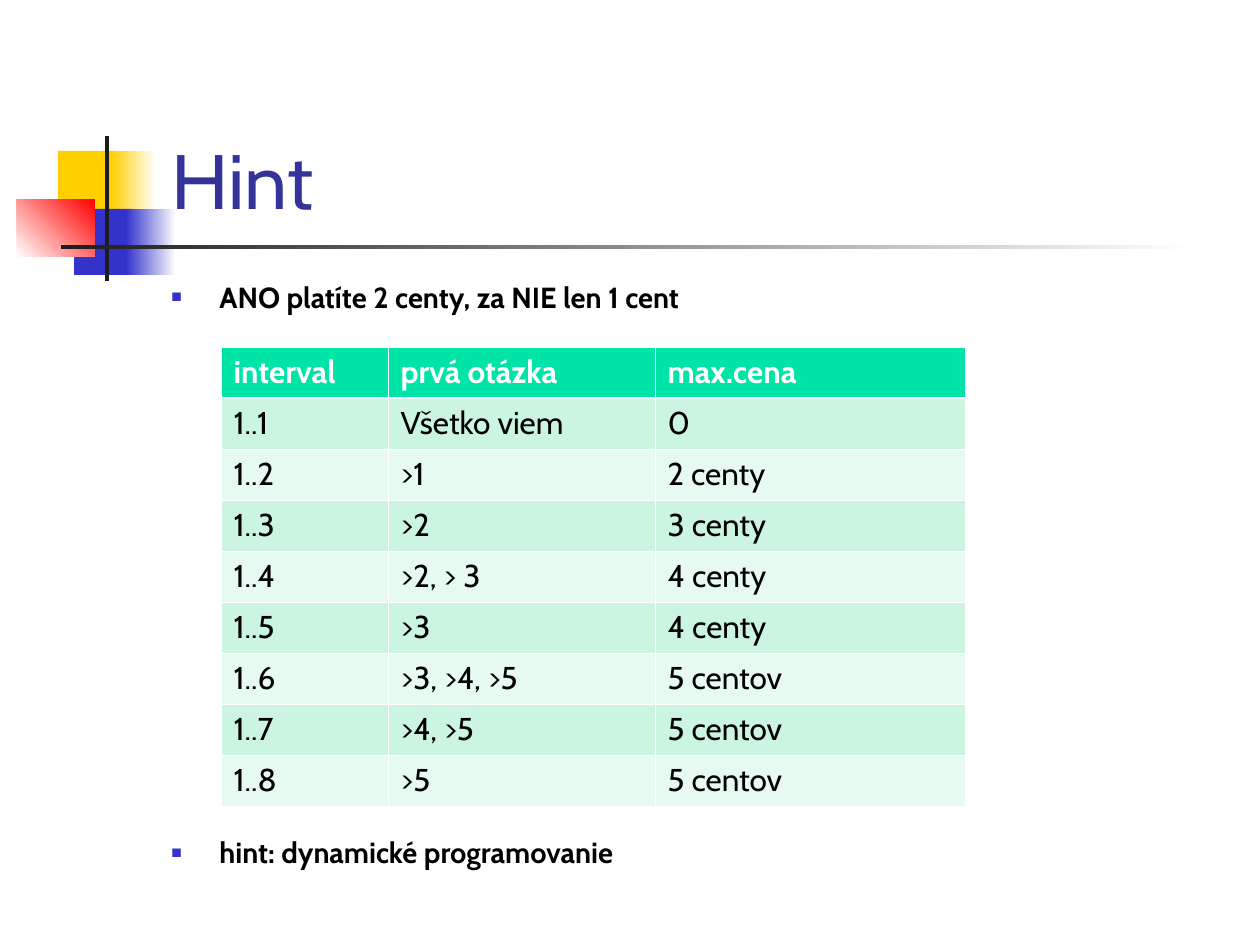
from lxml import etree
from pptx import Presentation
from pptx.dml.color import RGBColor
from pptx.enum.shapes import MSO_SHAPE
from pptx.enum.text import MSO_ANCHOR, MSO_AUTO_SIZE, PP_ALIGN
from pptx.oxml.ns import qn
from pptx.util import Pt

RECT = MSO_SHAPE.RECTANGLE
LEFT = PP_ALIGN.LEFT
TOP, BOTTOM = MSO_ANCHOR.TOP, MSO_ANCHOR.BOTTOM
NO_FIT = MSO_AUTO_SIZE.NONE

YELLOW = RGBColor(0xFF, 0xCF, 0x01)
BLUE = RGBColor(0x33, 0x33, 0xCC)
RED = RGBColor(0xFF, 0x00, 0x00)
DARK = RGBColor(0x1C, 0x1C, 0x1C)
WHITE = RGBColor(0xFF, 0xFF, 0xFF)
BLACK = RGBColor(0x00, 0x00, 0x00)
INDIGO = RGBColor(0x33, 0x33, 0x99)
GREEN = RGBColor(0x00, 0xE4, 0xA8)
MINT = RGBColor(0xCB, 0xF5, 0xE1)
PALE = RGBColor(0xE7, 0xFA, 0xF1)

# Content
TITLE = "Hint"
BULLETS = [  # text, space before in points
    ("ANO platíte 2 centy, za NIE len 1 cent", 0),
    ("hint: dynamické programovanie", 297.5),
]
ROWS = [
    ("interval", "prvá otázka", "max.cena"),
    ("1..1", "Všetko viem", "0"),
    ("1..2", ">1", "2 centy"),
    ("1..3", ">2", "3 centy"),
    ("1..4", ">2, > 3", "4 centy"),
    ("1..5", ">3", "4 centy"),
    ("1..6", ">3, >4, >5", "5 centov"),
    ("1..7", ">4, >5", "5 centov"),
    ("1..8", ">5", "5 centov"),
]
DECOR = [  # left, top, width, height, colours, gradient angle
    (58, 151, 60, 66, [YELLOW], 0),
    (111, 151, 45, 66, [YELLOW, WHITE], 0),
    (74, 209, 58, 66, [BLUE], 0),
    (126, 209, 50, 66, [BLUE, WHITE], 0),
    (17, 199, 78, 58, [WHITE, RED], 45),
    (105, 136, 4, 145, [DARK], 0),
    (61, 245, 1134, 4, [DARK, WHITE], 0),
]

# Layout in px, 126 to the inch
TITLE_BOX = (159, 29, 1074, 202)
BODY_BOX = (159, 273, 1075, 620)
TABLE_AT = (221, 347)
COLUMNS = (167, 267, 310)
ROW_HEIGHT = 51
INDENT = 48

TITLE_FONT = dict(name="Cabin", size=Pt(44), bold=False)
BODY_FONT = dict(name="Cabin", size=Pt(16.6), bold=True)
TABLE_FONT = dict(name="Cabin", size=Pt(18))


def px(n):
    return round(n * 914400 / 126)


def write(p, text, color, font):
    r = p.add_run()
    r.text = text
    for key, value in font.items():
        setattr(r.font, key, value)
    r.font.color.rgb = color


def add_bullet(p):
    pPr = p._p.get_or_add_pPr()
    pPr.set("marL", str(px(INDENT)))
    pPr.set("indent", str(-px(INDENT)))
    color = etree.SubElement(pPr, qn("a:buClr"))
    etree.SubElement(color, qn("a:srgbClr"), val=str(BLUE))
    etree.SubElement(pPr, qn("a:buSzPct"), val="60000")
    etree.SubElement(pPr, qn("a:buFont"), typeface="Arial")
    etree.SubElement(pPr, qn("a:buChar"), char="■")


def add_borders(cell, widths):
    tcPr = cell._tc.get_or_add_tcPr()
    for side, width in widths.items():
        ln = etree.SubElement(tcPr, qn("a:ln" + side), w=str(Pt(width)))
        fill = etree.SubElement(ln, qn("a:solidFill"))
        etree.SubElement(fill, qn("a:srgbClr"), val=str(WHITE))


def add_decor(s):
    for *box, colors, angle in DECOR:
        sp = s.shapes.add_shape(RECT, *map(px, box))
        sp.shadow.inherit = False
        sp.line.fill.background()
        if len(colors) == 1:
            sp.fill.solid()
            sp.fill.fore_color.rgb = colors[0]
            continue
        sp.fill.gradient()
        sp.fill.gradient_angle = angle
        for position, (stop, color) in enumerate(zip(sp.fill.gradient_stops, colors)):
            stop.position = position
            stop.color.rgb = color


def add_title(s):
    title = s.shapes.title
    s.shapes._spTree.append(title._element)  # in front of the squares
    title.left, title.top, title.width, title.height = map(px, TITLE_BOX)
    tf = title.text_frame
    tf.auto_size = NO_FIT
    tf.vertical_anchor = BOTTOM
    p = tf.paragraphs[0]
    p.alignment = LEFT
    write(p, TITLE, INDIGO, TITLE_FONT)


def add_body(s):
    tf = s.shapes.add_textbox(*map(px, BODY_BOX)).text_frame
    tf.word_wrap = True
    tf.vertical_anchor = TOP
    for i, (text, space) in enumerate(BULLETS):
        p = tf.add_paragraph() if i else tf.paragraphs[0]
        add_bullet(p)
        p.space_before = Pt(space)
        write(p, text, BLACK, BODY_FONT)


def add_prices(s):
    size = (sum(COLUMNS), ROW_HEIGHT * len(ROWS))
    table = s.shapes.add_table(
        len(ROWS), len(COLUMNS), *map(px, TABLE_AT + size)).table
    for column, width in zip(table.columns, COLUMNS):
        column.width = px(width)
    for i, row in enumerate(ROWS):
        table.rows[i].height = px(ROW_HEIGHT)
        header = i == 0
        fill = GREEN if header else (PALE, MINT)[i % 2]
        widths = dict(L=0.45, R=0.45, T=1.47 if i == 1 else 0.45,
                      B=1.47 if header else 0.45)
        for j, text in enumerate(row):
            cell = table.cell(i, j)
            add_borders(cell, widths)
            cell.fill.solid()
            cell.fill.fore_color.rgb = fill
            write(cell.text_frame.paragraphs[0], text,
                  WHITE if header else BLACK, dict(TABLE_FONT, bold=header))


def main():
    prs = Presentation()
    prs.slide_width, prs.slide_height = px(1260), px(945)
    s = prs.slides.add_slide(prs.slide_layouts[5])
    add_decor(s)
    add_title(s)
    add_body(s)
    add_prices(s)
    prs.save("out.pptx")


if __name__ == "__main__":
    main()
